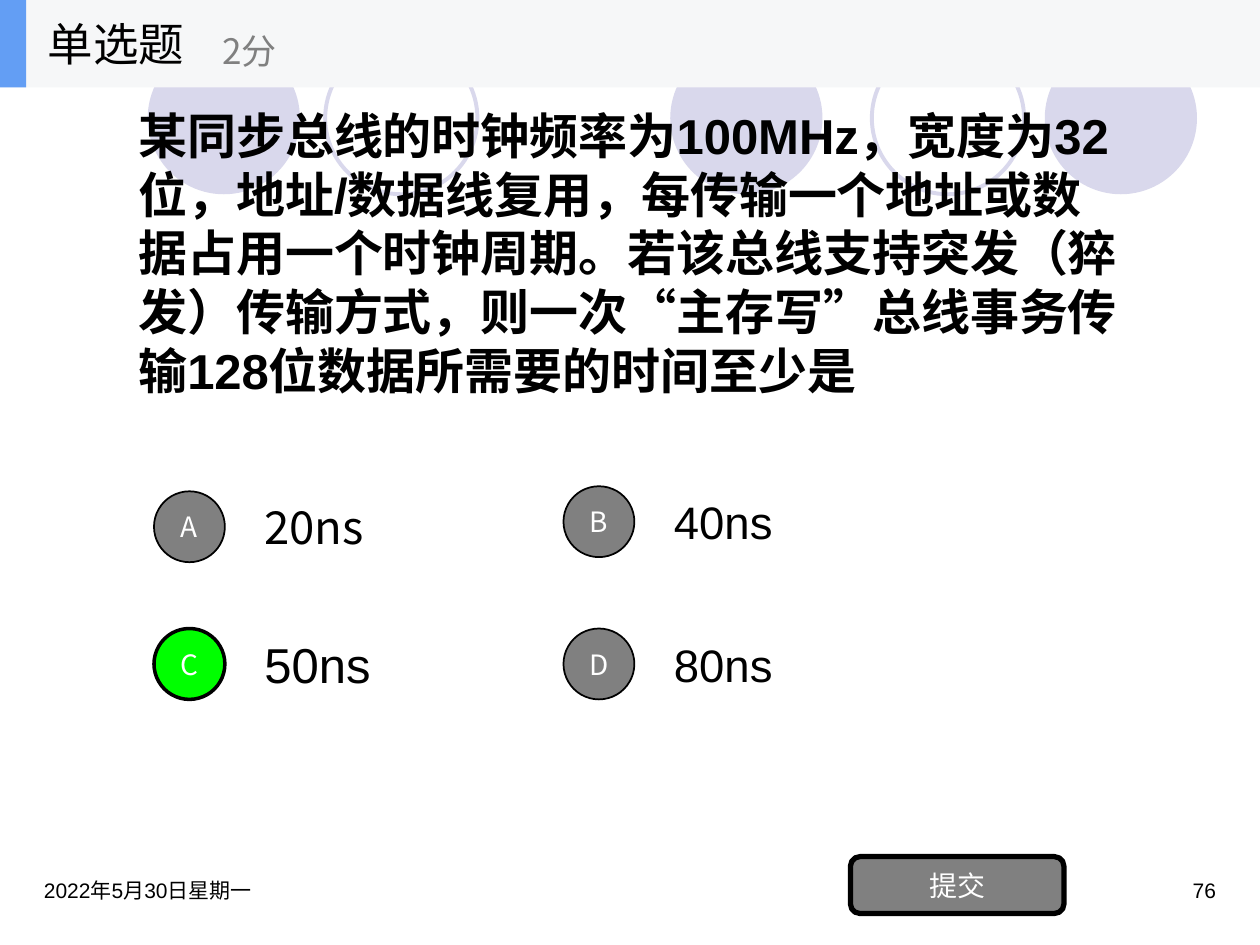
from dataclasses import dataclass

from lxml.etree import SubElement
from pptx import Presentation
from pptx.dml.color import RGBColor
from pptx.enum.shapes import MSO_SHAPE
from pptx.enum.text import MSO_ANCHOR, MSO_AUTO_SIZE, PP_ALIGN
from pptx.oxml.ns import qn
from pptx.util import Pt


@dataclass(frozen=True)
class Theme:
    latin: str = "Arial"
    chinese: str = "Noto Sans CJK SC"
    black: str = "000000"
    white: str = "FFFFFF"
    grey: str = "808080"
    lilac: str = "D9D8EC"
    bar: str = "F6F7F8"
    accent: str = "639EF4"
    correct: str = "00FF00"
    question: int = 28
    heading: int = 26
    points: int = 20
    button: int = 16
    footer: int = 12


THEME = Theme()

TITLE = "单选题"
POINTS = "2分"
QUESTION = (
    "某同步总线的时钟频率为100MHz，宽度为32位，地址/数据线复用，"
    "每传输一个地址或数据占用一个时钟周期。若该总线支持突发（猝发）传输方式，"
    "则一次“主存写”总线事务传输128位数据所需要的时间至少是"
)
# letter, answer, column, row top, size, font, is correct
OPTIONS = [
    ("A", "20ns", 0, 275.8, 26, THEME.chinese, False),
    ("B", "40ns", 1, 272.9, 26, THEME.latin, False),
    ("C", "50ns", 0, 354.2, 28, THEME.latin, True),
    ("D", "80ns", 1, 354.2, 26, THEME.latin, False),
]
SUBMIT = "提交"
FOOTERS = [("2022年5月30日星期一", 18, PP_ALIGN.LEFT), ("76", 534, PP_ALIGN.RIGHT)]

# left, is filled
BACKGROUND_CIRCLES = [(383, True), (597, True), (84.4, True), (498.2, False), (185.8, False)]
CIRCLE_TOP, CIRCLE_SIZE = 24, 87

SLIDE_WIDTH, SLIDE_HEIGHT = 720, 540
HEADER_HEIGHT = 50
OPTION_LEFT, COLUMN_STEP = 144, 234
OPTION_WIDTH, OPTION_HEIGHT = 198, 50.4
BADGE_SIZE, BADGE_OFFSET = 40.5, 56


def write(shape, text, size, font=THEME.chinese, color=THEME.black, bold=False,
          align=PP_ALIGN.LEFT, anchor=MSO_ANCHOR.MIDDLE):
    frame = shape.text_frame
    frame.word_wrap = True
    frame.auto_size = MSO_AUTO_SIZE.NONE
    frame.vertical_anchor = anchor
    paragraph = frame.paragraphs[0]
    paragraph.alignment = align
    run = paragraph.add_run()
    run.text = text
    run.font.size = Pt(size)
    run.font.bold = bold
    run.font.name = font
    run.font.color.rgb = RGBColor.from_string(color)
    east_asian = SubElement(run.font._element, qn("a:ea"))
    east_asian.set("typeface", THEME.chinese)
    run.font._element.find(qn("a:latin")).addnext(east_asian)


def add_text(slide, box, text, size, **style):
    shape = slide.shapes.add_textbox(*map(Pt, box))
    write(shape, text, size, **style)


def add_shape(slide, kind, box, fill=None, line=None, line_width=1):
    shape = slide.shapes.add_shape(kind, *map(Pt, box))
    shape.shadow.inherit = False
    if fill:
        shape.fill.solid()
        shape.fill.fore_color.rgb = RGBColor.from_string(fill)
    else:
        shape.fill.background()
    if line:
        shape.line.color.rgb = RGBColor.from_string(line)
        shape.line.width = Pt(line_width)
    else:
        shape.line.fill.background()
    return shape


def add_background(slide):
    for left, filled in BACKGROUND_CIRCLES:
        box = (left, CIRCLE_TOP, CIRCLE_SIZE, CIRCLE_SIZE)
        if filled:
            add_shape(slide, MSO_SHAPE.OVAL, box, fill=THEME.lilac)
        else:
            add_shape(slide, MSO_SHAPE.OVAL, box, line=THEME.lilac, line_width=2.25)


def add_button(slide, kind, box, label, fill, line_width):
    shape = add_shape(slide, kind, box, fill, THEME.black, line_width)
    shape.text_frame.margin_left = shape.text_frame.margin_right = 0
    write(shape, label, THEME.button, color=THEME.white, align=PP_ALIGN.CENTER)


def add_options(slide):
    for letter, answer, column, top, size, font, correct in OPTIONS:
        left = OPTION_LEFT + column * COLUMN_STEP
        add_text(slide, (left, top, OPTION_WIDTH, OPTION_HEIGHT), answer, size, font=font)
        badge_top = top + (OPTION_HEIGHT - BADGE_SIZE) / 2
        add_button(slide, MSO_SHAPE.OVAL,
                   (left - BADGE_OFFSET, badge_top, BADGE_SIZE, BADGE_SIZE), letter,
                   THEME.correct if correct else THEME.grey, 2 if correct else 1)


def add_header(slide):
    add_shape(slide, MSO_SHAPE.RECTANGLE, (0, 0, SLIDE_WIDTH, HEADER_HEIGHT), THEME.bar)
    add_shape(slide, MSO_SHAPE.RECTANGLE, (0, 0, 15, HEADER_HEIGHT), THEME.accent)
    title = slide.shapes.title
    title.left, title.top, title.width, title.height = map(Pt, (20, 0, 150, HEADER_HEIGHT))
    write(title, TITLE, THEME.heading)
    # The placeholder comes first in the tree; lift it above the bar.
    title.element.getparent().append(title.element)
    add_text(slide, (120, 9, 180, 40), POINTS, THEME.points, color=THEME.grey)


def main():
    presentation = Presentation()
    presentation.slide_width = Pt(SLIDE_WIDTH)
    presentation.slide_height = Pt(SLIDE_HEIGHT)
    slide = presentation.slides.add_slide(presentation.slide_layouts[5])
    add_background(slide)
    for text, left, align in FOOTERS:
        add_text(slide, (left, 498, 168, 36), text, THEME.footer, font=THEME.latin,
                 align=align, anchor=MSO_ANCHOR.TOP)
    add_text(slide, (72, 60, 576, 168.5), QUESTION, THEME.question,
             font=THEME.latin, bold=True)
    add_options(slide)
    add_button(slide, MSO_SHAPE.ROUNDED_RECTANGLE, (486, 489.5, 122, 32.5), SUBMIT,
               THEME.grey, 3)
    add_header(slide)
    presentation.save("out.pptx")


if __name__ == "__main__":
    main()
